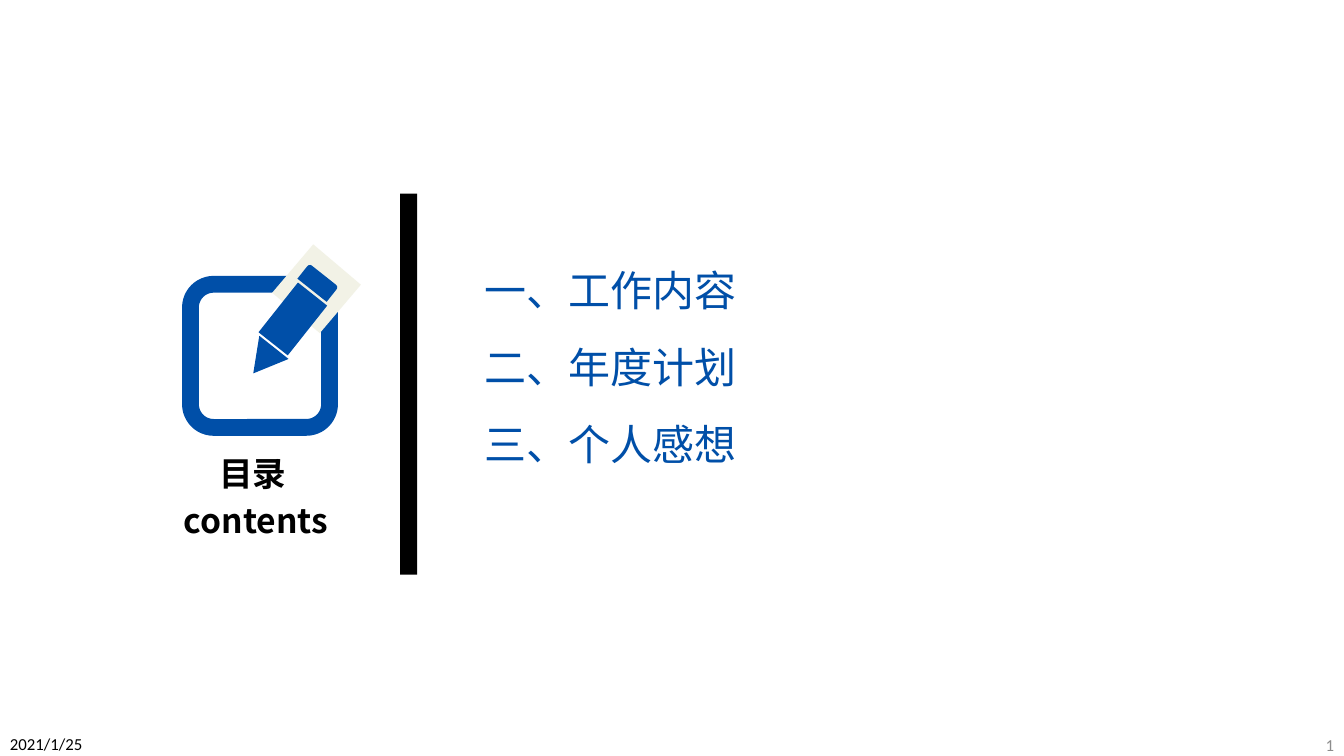
from pptx import Presentation
from pptx.dml.color import RGBColor
from pptx.enum.shapes import MSO_SHAPE
from pptx.enum.text import MSO_ANCHOR, PP_ALIGN
from pptx.oxml.ns import qn
from pptx.util import Inches, Pt
from lxml.etree import SubElement

BLUE = RGBColor(0x00, 0x4F, 0xA8)
CREAM = RGBColor(0xF2, 0xF2, 0xE6)
BLACK = RGBColor(0x00, 0x00, 0x00)
GREY = RGBColor(0x8C, 0x8C, 0x8C)
HEADING_FONT = "Noto Sans CJK SC"
FOOTER_FONT = "Calibri"
COLUMNS, ROWS = 160, 90
PENCIL_WIDTH = 4.44
PENCIL_TILT = 38.4


class ContentsPage:
    """Draws styled elements on one slide, placed on a grid of columns and rows."""

    def __init__(self, deck):
        self.page = deck.slides.add_slide(deck.slide_layouts[6])
        self.column = deck.slide_width / COLUMNS
        self.row = deck.slide_height / ROWS

    def place(self, left, top, width, height):
        return (round(left * self.column), round(top * self.row),
                round(width * self.column), round(height * self.row))

    def shape(self, kind, area, fill=None, line=None, line_width=0, rotation=0):
        figure = self.page.shapes.add_shape(kind, *self.place(*area))
        figure.shadow.inherit = False
        figure.rotation = rotation
        if fill is None:
            figure.fill.background()
        else:
            figure.fill.solid()
            figure.fill.fore_color.rgb = fill
        if line is None:
            figure.line.fill.background()
        else:
            figure.line.color.rgb = line
            figure.line.width = Pt(line_width)
        return figure

    def text(self, words, area, size=12, color=BLACK, font=HEADING_FONT, bold=False,
             align=PP_ALIGN.LEFT, anchor=MSO_ANCHOR.TOP):
        box = self.page.shapes.add_textbox(*self.place(*area))
        frame = box.text_frame
        frame.word_wrap = True
        frame.vertical_anchor = anchor
        para = frame.paragraphs[0]
        para.alignment = align
        span = para.add_run()
        span.text = words
        span.font.name = font
        span.font.size = Pt(size)
        span.font.bold = bold
        span.font.color.rgb = color
        SubElement(span.font._element, qn("a:ea"), typeface=font)
        return box


def draw_icon(page):
    page.shape(MSO_SHAPE.ROUNDED_RECTANGLE, (22.68, 33.84, 16.56, 17.04),
               line=BLUE, line_width=12)
    page.shape(MSO_SHAPE.RECTANGLE, (33.96, 30.6, 7.44, 7.56), fill=CREAM, rotation=40.3)
    pencil_parts = [
        (MSO_SHAPE.ROUND_2_SAME_RECTANGLE, 35.64, 32.52, 2.28, PENCIL_TILT),
        (MSO_SHAPE.RECTANGLE, 32.64, 34.2, 7.56, PENCIL_TILT),
        (MSO_SHAPE.ISOSCELES_TRIANGLE, 29.16, 40.92, 3.96, PENCIL_TILT + 180),
    ]
    for kind, left, top, height, tilt in pencil_parts:
        page.shape(kind, (left, top, PENCIL_WIDTH, height), fill=BLUE, rotation=tilt)


def main():
    deck = Presentation()
    deck.slide_width, deck.slide_height = Inches(13.33), Inches(7.5)
    page = ContentsPage(deck)

    draw_icon(page)
    for title, area in [("目录", (21.84, 53.28, 16.56, 6)),
                        ("contents", (18.6, 58.92, 23.76, 6))]:
        page.text(title, area, size=24, bold=True, align=PP_ALIGN.CENTER)

    page.shape(MSO_SHAPE.RECTANGLE, (47.64, 23.04, 2.04, 45.36), fill=BLACK)
    for index, chapter in enumerate(["一、工作内容", "二、年度计划", "三、个人感想"]):
        page.text(chapter, (56.52, 30.84 + index * 9.18, 86, 7.32), size=30, color=BLUE)

    page.text("2021/1/25", (0, 87, 11.52, 3), font=FOOTER_FONT, anchor=MSO_ANCHOR.MIDDLE)
    page.text("1", (149.92, 87.36, 10.08, 2.64), font=FOOTER_FONT, color=GREY,
              align=PP_ALIGN.RIGHT, anchor=MSO_ANCHOR.MIDDLE)
    deck.save("out.pptx")


if __name__ == "__main__":
    main()
